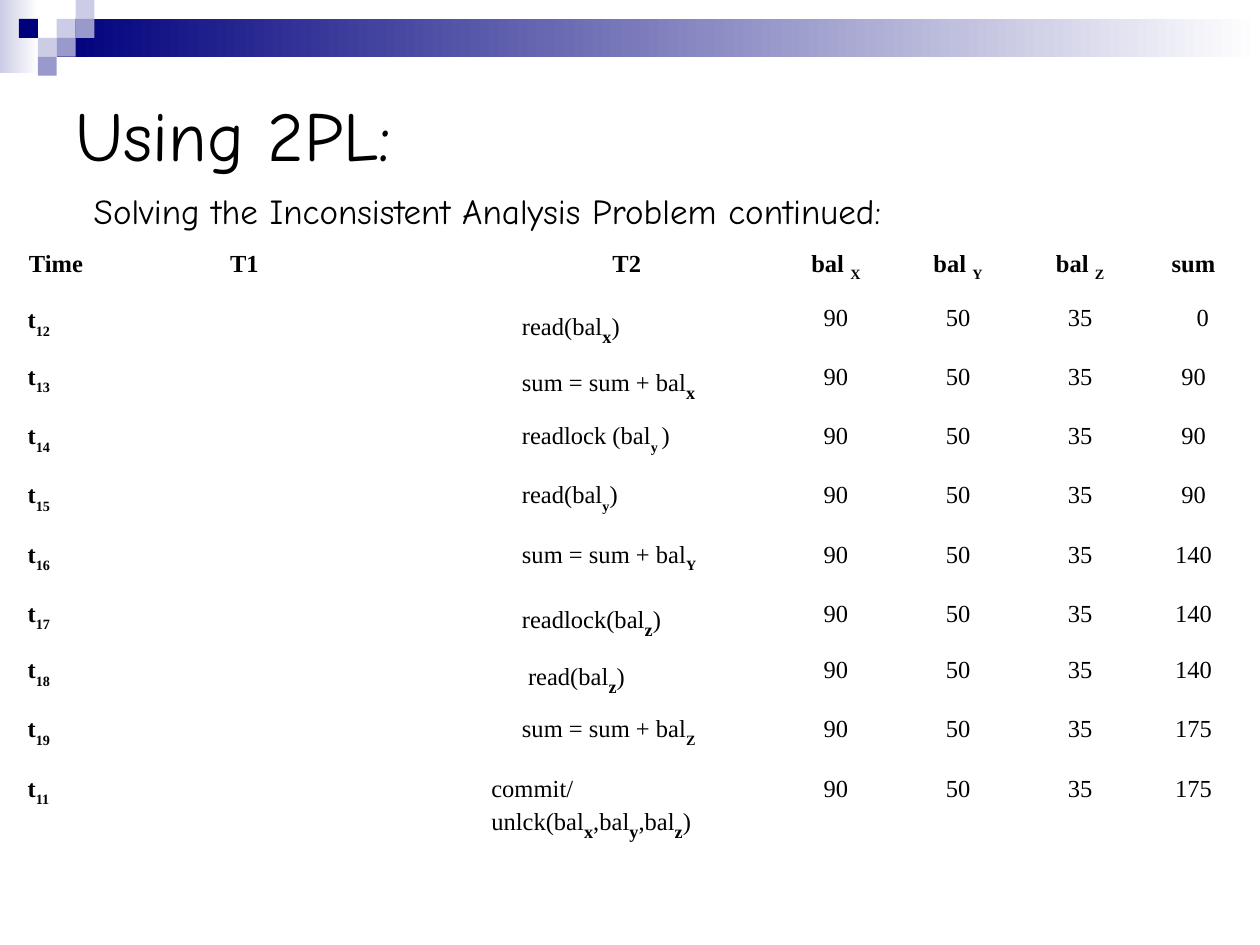
"""Build the slide on two-phase locking and the inconsistent analysis problem."""
from pptx import Presentation
from pptx.dml.color import RGBColor
from pptx.enum.shapes import MSO_SHAPE
from pptx.enum.text import MSO_ANCHOR, PP_ALIGN
from pptx.util import Pt

RECT = MSO_SHAPE.RECTANGLE
MIDDLE = MSO_ANCHOR.MIDDLE
LEFT, CENTER = PP_ALIGN.LEFT, PP_ALIGN.CENTER

BLACK = RGBColor(0x00, 0x00, 0x00)
WHITE = RGBColor(0xFF, 0xFF, 0xFF)
NAVY = RGBColor(0x00, 0x00, 0x7D)
LILAC = RGBColor(0xCC, 0xCC, 0xE6)
VIOLET = RGBColor(0x99, 0x99, 0xCC)

HEADING_FONT, TABLE_FONT = "Comic Neue", "Times New Roman"
BODY_SIZE = 14
SMALL_SUB, LARGE_SUB = (14, -30), (18, -25)

SQUARE = 10.8
SQUARES = [(3, 1, LILAC), (4, 0, LILAC), (4, 1, VIOLET), (2, 2, LILAC),
           (1, 1, NAVY), (3, 2, VIOLET), (2, 3, VIOLET)]

COL_WIDTHS = [46.8, 168.5, 49.7, 169.2, 69.8, 69.8, 69.8, 59.8]
SHORT_ROW, TALL_ROW = 32.4, 33.8
SHORT_ROWS = {0, 1, 6}
HEADER = [["Time"], ["T1"], [], ["T2"], ["bal ", "X"], ["bal ", "Y"], ["bal ", "Z"], ["sum"]]
BALANCES = ["90", "50", "35"]
STEP_INDENT = 17.5
STEPS = [
    ("12", ["read(bal", "x", ")"], LARGE_SUB, STEP_INDENT, "0"),
    ("13", ["sum = sum + bal", "x"], LARGE_SUB, STEP_INDENT, "90"),
    ("14", ["readlock (bal", "y ", ")"], SMALL_SUB, STEP_INDENT, "90"),
    ("15", ["read(bal", "y", ")"], SMALL_SUB, STEP_INDENT, "90"),
    ("16", ["sum = sum + bal", "Y"], SMALL_SUB, STEP_INDENT, "140"),
    ("17", ["readlock(bal", "z", ")"], LARGE_SUB, STEP_INDENT, "140"),
    ("18", ["read(bal", "z", ")"], LARGE_SUB, 21, "140"),
    ("19", ["sum = sum + bal", "Z"], SMALL_SUB, STEP_INDENT, "175"),
    ("11", ["commit/unlck(bal", "x", ",bal", "y", ",bal", "z", ")"], LARGE_SUB, 0, "175"),
]


def add_block(slide, x, y, w, h, color, fade=False):
    """Add a borderless rectangle, optionally fading to white on the right."""
    s = slide.shapes.add_shape(RECT, Pt(x), Pt(y), Pt(w), Pt(h))
    s.shadow.inherit = False
    s.line.fill.background()
    if fade:
        s.fill.gradient()
        s.fill.gradient_angle = 0
        for stop, rgb in zip(s.fill.gradient_stops, (color, WHITE)):
            stop.color.rgb = rgb
    else:
        s.fill.solid()
        s.fill.fore_color.rgb = color


def add_run(p, text, font, size, bold=False, baseline=0):
    """Add one formatted run, lowered when the baseline is negative."""
    r = p.add_run()
    r.text = text
    r.font.name = font
    r.font.size = Pt(size)
    r.font.bold = bold
    r.font.color.rgb = BLACK
    if baseline:
        r.font._element.set("baseline", str(baseline * 1000))


def add_heading(slide, x, y, w, h, text, size, wrap):
    """Add a vertically centred heading."""
    s = slide.shapes.add_textbox(Pt(x), Pt(y), Pt(w), Pt(h))
    tf = s.text_frame
    tf.word_wrap = wrap
    tf.vertical_anchor = MIDDLE
    add_run(tf.paragraphs[0], text, HEADING_FONT, size)


def fill_cell(cell, parts, bold=False, sub=SMALL_SUB, align=CENTER, indent=0, spacing=1.0):
    """Write parts that alternate between body text and bold subscript."""
    p = cell.text_frame.paragraphs[0]
    p.alignment = align
    p.line_spacing = spacing
    cell.margin_left = Pt(7.2 + indent)
    sub_size, sub_baseline = sub
    for i, text in enumerate(parts):
        if i % 2:
            add_run(p, text, TABLE_FONT, sub_size, True, sub_baseline)
        else:
            add_run(p, text, TABLE_FONT, BODY_SIZE, bold)


def add_schedule(slide):
    """Add the table of transaction steps and balances."""
    count = len(STEPS) + 1
    heights = [SHORT_ROW if i in SHORT_ROWS else TALL_ROW for i in range(count)]
    table = slide.shapes.add_table(count, len(COL_WIDTHS), Pt(8.6), Pt(139.5),
                                   Pt(sum(COL_WIDTHS)), Pt(sum(heights))).table
    table.first_row = table.horz_banding = False
    for column, width in zip(table.columns, COL_WIDTHS):
        column.width = Pt(width)
    for row, height in zip(table.rows, heights):
        row.height = Pt(height)
    for cell in table.iter_cells():
        cell.fill.background()
    for col, parts in enumerate(HEADER):
        fill_cell(table.cell(0, col), parts, bold=True)
    for row, (time, step, sub, indent, total) in enumerate(STEPS, 1):
        spacing = 0.9 if row == 1 else 1.0
        fill_cell(table.cell(row, 0), ["t", time], bold=True, align=LEFT, spacing=spacing)
        fill_cell(table.cell(row, 3), step, sub=sub, align=LEFT, indent=indent, spacing=spacing)
        for col, value in enumerate(BALANCES, 4):
            fill_cell(table.cell(row, col), [value], spacing=spacing)
        if total == "0":
            fill_cell(table.cell(row, 7), [total], align=LEFT, indent=24.5, spacing=spacing)
        else:
            fill_cell(table.cell(row, 7), [total])


def main():
    """Build and save the slide."""
    prs = Presentation()
    prs.slide_width, prs.slide_height = Pt(720), Pt(540)
    slide = prs.slides.add_slide(prs.slide_layouts[6])
    add_block(slide, 0, 0, 22, 41.8, LILAC, fade=True)
    add_block(slide, 3 * SQUARE, SQUARE, 687.6, 2 * SQUARE, NAVY, fade=True)
    for col, row, color in SQUARES:
        add_block(slide, col * SQUARE, row * SQUARE, SQUARE, SQUARE, color)
    add_heading(slide, 36, 36, 648, 81, "Using 2PL:", 40, True)
    add_schedule(slide)
    add_heading(slide, 46.5, 104.5, 465, 31.5,
                "Solving the Inconsistent Analysis Problem continued:", 20, False)
    prs.save("out.pptx")


if __name__ == "__main__":
    main()
